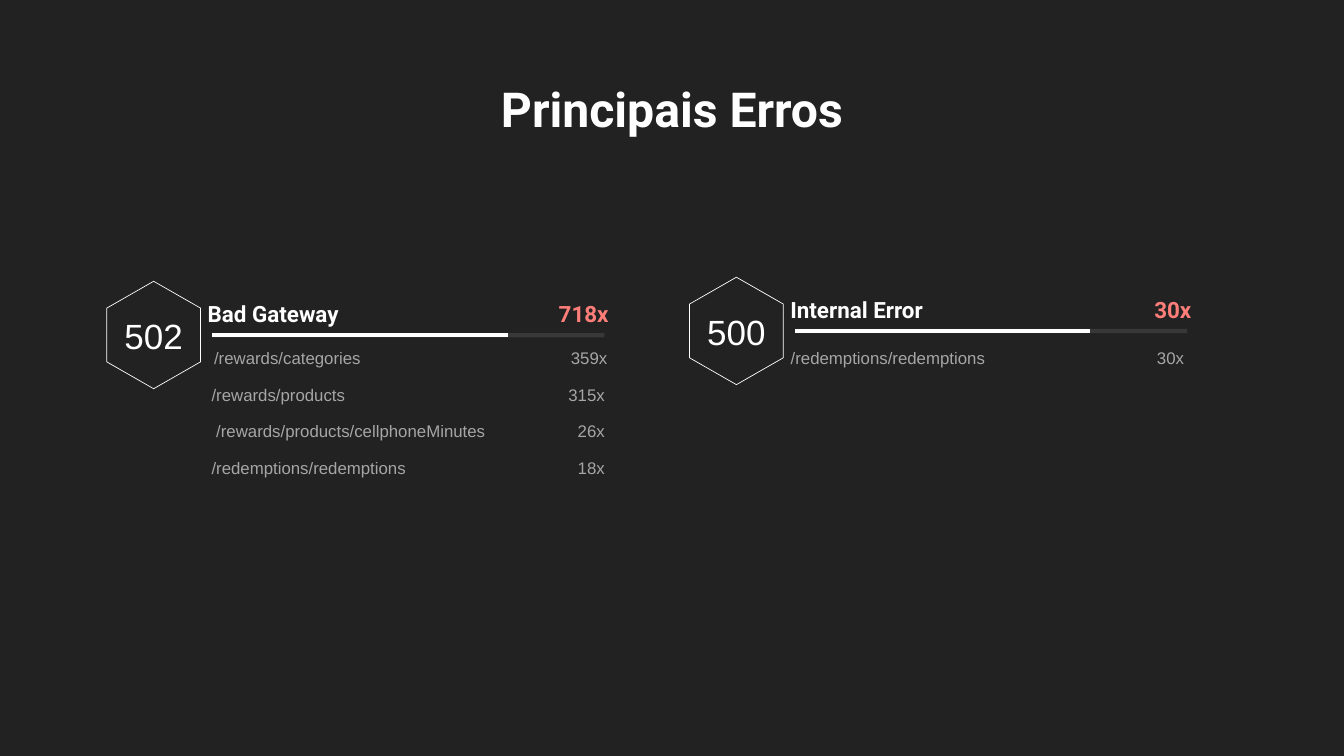
import pptx
import pptx.dml.color
import pptx.enum.shapes
import pptx.enum.text
import pptx.oxml.ns
import pptx.oxml.xmlchemy
import pptx.util

Pt = pptx.util.Pt
ALIGN = pptx.enum.text.PP_ALIGN
ANCHOR = pptx.enum.text.MSO_ANCHOR
BACKGROUND, WHITE, CORAL = "222222", "FFFFFF", "FF7E79"
ROW_PITCH = 52.3
ROW_VALUE_DX = 500.4


def set_color(fill, color, opacity=100):
    fill.solid()
    fill.fore_color.rgb = pptx.dml.color.RGBColor.from_string(color)
    if opacity < 100:
        clr = fill._xPr.find(".//" + pptx.oxml.ns.qn("a:srgbClr"))
        alpha = pptx.oxml.xmlchemy.OxmlElement("a:alpha")
        alpha.set("val", str(opacity * 1000))
        clr.append(alpha)


def add_text(s, box, text, size, font, color=WHITE, opacity=100, bold=False,
             align=ALIGN.LEFT, spacing=1.0, inset=7.2, anchor=ANCHOR.TOP, wrap=True):
    tf = s.shapes.add_textbox(*map(Pt, box)).text_frame
    tf.word_wrap = wrap
    tf.vertical_anchor = anchor
    tf.margin_left = tf.margin_right = tf.margin_top = tf.margin_bottom = Pt(inset)
    p = tf.paragraphs[0]
    p.text = text
    p.alignment = align
    p.line_spacing = spacing
    p.font.size, p.font.name, p.font.bold = Pt(size), font, bold
    set_color(p.font.fill, color, opacity)


def add_bar(s, x, y, length, opacity=100):
    line = s.shapes.add_connector(pptx.enum.shapes.MSO_CONNECTOR.STRAIGHT,
                                  Pt(x), Pt(y), Pt(x + length), Pt(y))
    line.line.width = Pt(6)
    set_color(line.line.fill, WHITE, opacity)
    line._element.spPr.append(pptx.oxml.xmlchemy.OxmlElement("a:effectLst"))


def add_hexagon(s, x, y, w, h):
    upper, lower = y + h / 4, y + h * 3 / 4
    points = [(x + w, upper), (x + w, lower), (x + w / 2, y + h), (x, lower), (x, upper)]
    builder = s.shapes.build_freeform(Pt(x + w / 2), Pt(y))
    builder.add_line_segments([(Pt(px), Pt(py)) for px, py in points], close=True)
    sp = builder.convert_to_shape()
    sp.shadow.inherit = False
    set_color(sp.fill, BACKGROUND)
    set_color(sp.line.fill, WHITE)
    sp.line.width = Pt(1)


def add_error_row(s, x, y, route, count):
    style = dict(size=24, font="Arial", opacity=60, spacing=1.2)
    add_text(s, (x, y, 431.3, 43.2), route, **style)
    add_text(s, (x + ROW_VALUE_DX, y, 75.6, 43.2), count, align=ALIGN.RIGHT, **style)


def add_error_panel(s, x, y, code, name, total, rows_top, rows):
    """Rows are (indent, route, count), the indent measured from the panel's left."""
    add_bar(s, x + 150.8, y + 77, 560, opacity=10)
    add_hexagon(s, x, y, 134, 153.5)
    add_bar(s, x + 150.8, y + 77, 422)
    heading = dict(size=32, font="Roboto", bold=True, spacing=0.9)
    add_text(s, (x + 137, y + 24.5, 455, 52.6), name, **heading)
    add_text(s, (x + 532, y + 24.5, 192.2, 52.6), total, color=CORAL,
             align=ALIGN.RIGHT, **heading)
    for i, (indent, route, count) in enumerate(rows):
        add_error_row(s, x + indent, rows_top + i * ROW_PITCH, route, count)
    add_text(s, (x + 20.9, y + 43.2, 92.2, 67.7), code, 50, "Arial",
             align=ALIGN.CENTER, inset=4.3, anchor=ANCHOR.MIDDLE, wrap=False)


def main():
    prs = pptx.Presentation()
    prs.slide_width, prs.slide_height = Pt(1920), Pt(1080)
    s = prs.slides.add_slide(prs.slide_layouts[6])
    set_color(s.background.fill, BACKGROUND)

    add_text(s, (132, 116, 1656, 98), "Principais Erros", 68.8, "Roboto",
             bold=True, align=ALIGN.CENTER, spacing=0.9)
    add_error_panel(s, 152.5, 401.8, "502", "Bad Gateway", "718x", 483.8, [
        (146.2, "/rewards/categories", "359x"),
        (142.6, "/rewards/products", "315x"),
        (142.6, " /rewards/products/cellphoneMinutes", "26x"),
        (142.6, "/redemptions/redemptions", "18x"),
    ])
    add_error_panel(s, 985, 396, "500", "Internal Error", "30x", 483.8, [
        (137.5, "/redemptions/redemptions", "30x"),
    ])
    prs.save("out.pptx")


if __name__ == "__main__":
    main()
